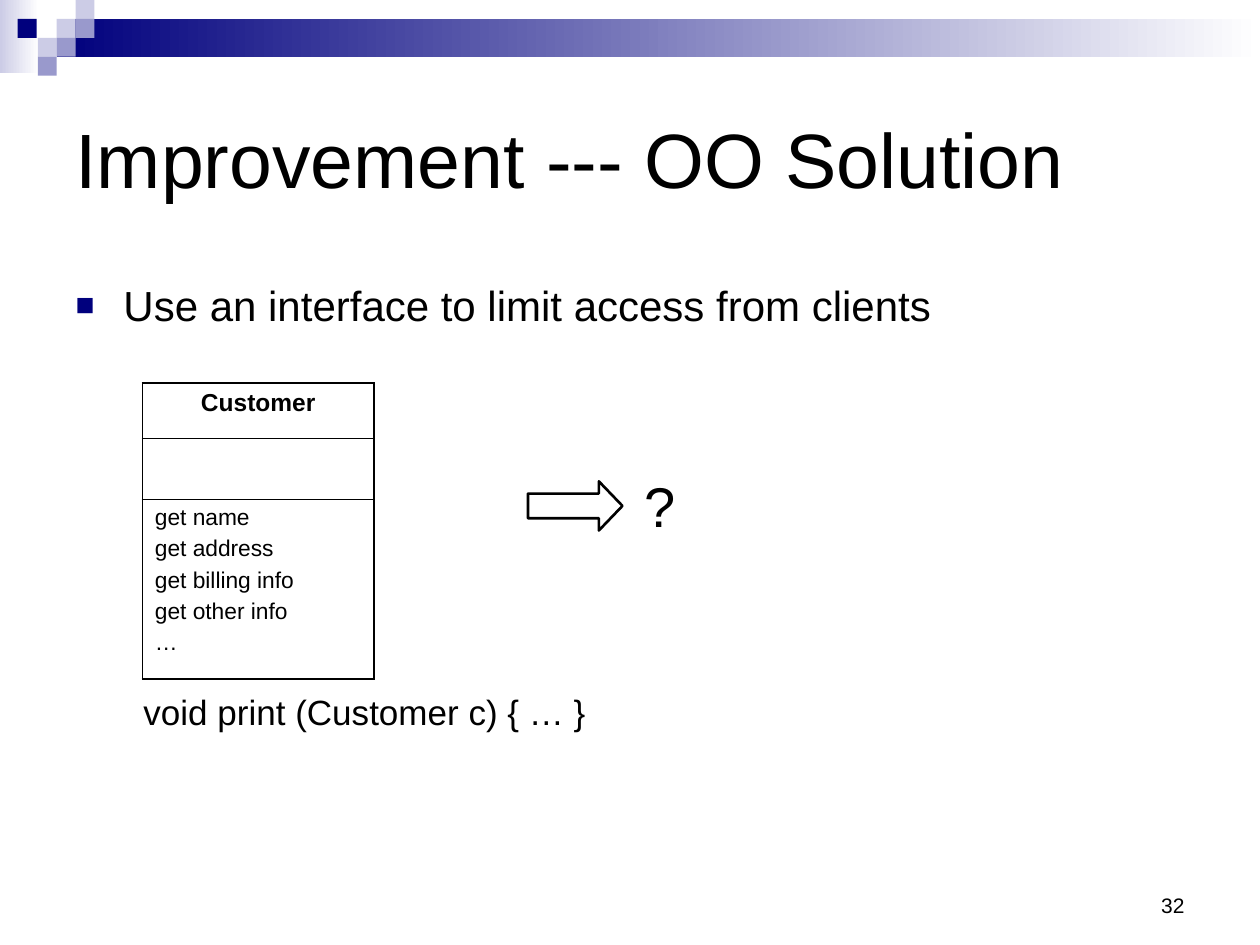
import pptx
import pptx.util
import pptx.dml.color
import pptx.enum.shapes
import pptx.enum.text
import pptx.oxml
import pptx.oxml.ns
from pptx.util import Inches, Pt

COLORS = {"navy": "00007D", "mid": "9999CC", "pale": "CCCCE6",
          "white": "FFFFFF", "black": "000000"}
RGB = {name: pptx.dml.color.RGBColor.from_string(c) for name, c in COLORS.items()}
SHAPE = pptx.enum.shapes.MSO_SHAPE
ALIGN = pptx.enum.text.PP_ALIGN
ANCHOR = pptx.enum.text.MSO_ANCHOR
NS = pptx.oxml.ns.nsdecls("a")


def set_text(tf, text, size, align=ALIGN.LEFT, bold=False, before=0):
    tf.text = text
    for p in tf.paragraphs:
        p.alignment = align
        p.space_before = Pt(before)
        for r in p.runs:
            r.font.name = "Arial"
            r.font.size = Pt(size)
            r.font.bold = bold
            r.font.color.rgb = RGB["black"]


def add_rect(x, y, w, h, color, fade=False):
    sp = s.shapes.add_shape(SHAPE.RECTANGLE, Inches(x), Inches(y), Inches(w), Inches(h))
    sp.shadow.inherit = False
    sp.line.fill.background()
    if fade:
        sp.fill.gradient()
        sp.fill.gradient_angle = 0
        for stop, name in zip(sp.fill.gradient_stops, (color, "white")):
            stop.color.rgb = RGB[name]
    else:
        sp.fill.solid()
        sp.fill.fore_color.rgb = RGB[color]


prs = pptx.Presentation()
prs.slide_width, prs.slide_height = Inches(10), Inches(7.5)
s = prs.slides.add_slide(prs.slide_layouts[1])

# Header band and its squares
add_rect(0, 0, 0.31, 0.58, "pale", fade=True)
add_rect(0.45, 0.15, 9.55, 0.3, "navy", fade=True)
for x, y, color in [(0.45, 0.15, "pale"), (0.6, 0, "pale"), (0.6, 0.15, "mid"),
                    (0.3, 0.3, "pale"), (0.14, 0.15, "navy"),
                    (0.45, 0.3, "mid"), (0.3, 0.45, "mid")]:
    add_rect(x, y, 0.15, 0.15, color)

# Title
title = s.shapes.title
title.left, title.top, title.width, title.height = Inches(0.5), Inches(0.5), Inches(9), Inches(1.5)
title.text_frame.vertical_anchor = ANCHOR.MIDDLE
set_text(title.text_frame, "Improvement --- OO Solution", 44)

# Bullet
body = s.placeholders[1]
body.left, body.top, body.width, body.height = Inches(0.5), Inches(2.17), Inches(8.99), Inches(0.52)
set_text(body.text_frame, "Use an interface to limit access from clients", 24, before=6)
pPr = body.text_frame.paragraphs[0]._p.get_or_add_pPr()
pPr.set("marL", str(Inches(0.38)))
pPr.set("indent", str(-Inches(0.38)))
for xml in (f'<a:buClr {NS}><a:srgbClr val="{COLORS["navy"]}"/></a:buClr>',
            f'<a:buSzPct {NS} val="75000"/>',
            f'<a:buFont {NS} typeface="Arial"/>',
            f'<a:buChar {NS} char="■"/>'):
    pPr.append(pptx.oxml.parse_xml(xml))

# Class box: name, attributes, operations
row_heights = [0.44, 0.48, 1.43]
table = s.shapes.add_table(3, 1, Inches(1.13), Inches(3.04), Inches(1.84),
                           Inches(sum(row_heights))).table
table.first_row = table.horz_banding = False
operations = ["get name", "get address", "get billing info", "get other info", "…"]
set_text(table.cell(0, 0).text_frame, "Customer", 14, ALIGN.CENTER, bold=True, before=3.5)
set_text(table.cell(2, 0).text_frame, "\n".join(operations), 13, before=3.3)
for i, height in enumerate(row_heights):
    table.rows[i].height = Inches(height)
    cell = table.cell(i, 0)
    tcPr = cell._tc.get_or_add_tcPr()
    widths = {"L": 1.08, "R": 1.08, "T": 1.08 if i == 0 else 0.45,
              "B": 1.08 if i == 2 else 0.45}
    for side, width in widths.items():
        tcPr.append(pptx.oxml.parse_xml(
            f'<a:ln{side} {NS} w="{Pt(width)}"><a:solidFill>'
            f'<a:srgbClr val="{COLORS["black"]}"/></a:solidFill></a:ln{side}>'))
    cell.fill.background()
    cell.margin_left = cell.margin_right = Inches(0.1)

# Arrow
arrow = s.shapes.add_shape(SHAPE.RIGHT_ARROW, Inches(4.19), Inches(3.82), Inches(0.75), Inches(0.39))
arrow.adjustments[0], arrow.adjustments[1] = 0.5, 0.48
arrow.shadow.inherit = False
arrow.fill.background()
arrow.line.color.rgb = RGB["black"]
arrow.line.width = Pt(1.5)

# Code line, question mark and page number
for x, y, w, h, text, size in [(1.04, 5.43, 3.71, 0.44, "void print (Customer c) { … }", 20),
                               (5.02, 3.69, 0.45, 0.64, "?", 32)]:
    tf = s.shapes.add_textbox(Inches(x), Inches(y), Inches(w), Inches(h)).text_frame
    tf.word_wrap = False
    tf.auto_size = pptx.enum.text.MSO_AUTO_SIZE.SHAPE_TO_FIT_TEXT
    set_text(tf, text, size)
tf = s.shapes.add_textbox(Inches(7.17), Inches(6.83), Inches(2.33), Inches(0.5)).text_frame
tf.word_wrap = True
tf.vertical_anchor = ANCHOR.BOTTOM
set_text(tf, "32", 12, ALIGN.RIGHT)

prs.save("out.pptx")
